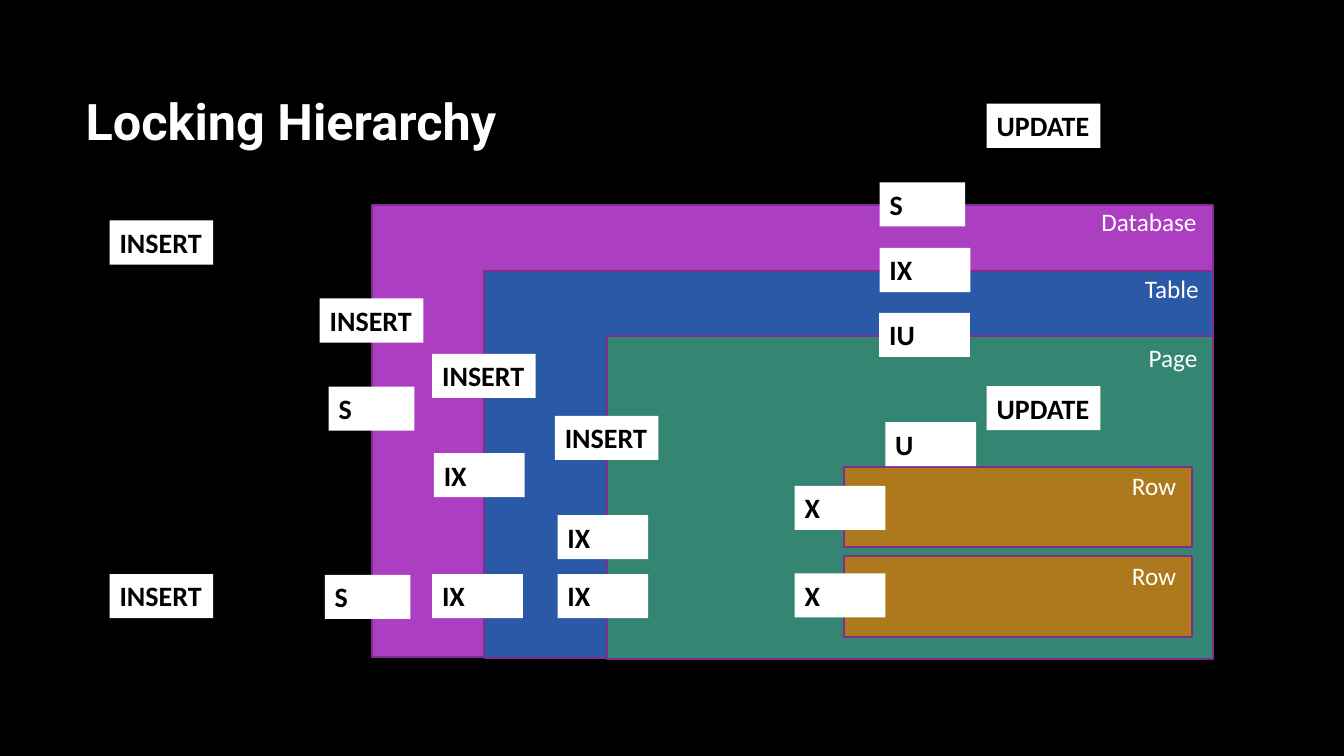
from pptx import Presentation
from pptx.dml.color import RGBColor
from pptx.enum.shapes import MSO_SHAPE
from pptx.enum.text import MSO_ANCHOR, MSO_AUTO_SIZE, PP_ALIGN
from pptx.util import Pt

COLORS = {
    "background": "000000",
    "white": "FFFFFF",
    "black": "000000",
    "outline": "7F2E8F",
    "database": "AC3EC1",
    "table": "2A59A8",
    "page": "348672",
    "row": "AE781D",
}
TITLE_FONT = {"name": "Roboto", "size": Pt(36), "bold": True}
LABEL_FONT = {"name": "Calibri", "size": Pt(18), "bold": False}
TAG_FONT = {"name": "Calibri", "size": Pt(20), "bold": True}


def write_text(shape, text, font_format, color):
    frame = shape.text_frame
    frame.word_wrap = True
    frame.text = text
    paragraph = frame.paragraphs[0]
    paragraph.alignment = PP_ALIGN.LEFT
    for name, value in font_format.items():
        setattr(paragraph.font, name, value)
    paragraph.font.color.rgb = RGBColor.from_string(COLORS[color])


def add_box(left, top, width, height, color):
    shape = slide.shapes.add_shape(
        MSO_SHAPE.RECTANGLE, Pt(left), Pt(top), Pt(width), Pt(height))
    shape.shadow.inherit = False
    shape.fill.solid()
    shape.fill.fore_color.rgb = RGBColor.from_string(COLORS[color])
    return shape


presentation = Presentation()
presentation.slide_width, presentation.slide_height = Pt(960), Pt(540)
slide = presentation.slides.add_slide(presentation.slide_layouts[5])
slide.background.fill.solid()
slide.background.fill.fore_color.rgb = RGBColor.from_string(COLORS["background"])

# Title
title = slide.shapes.title
title.left, title.top, title.width, title.height = Pt(54), Pt(48.2), Pt(797.8), Pt(75.6)
write_text(title, "Locking Hierarchy", TITLE_FONT, "white")
title.text_frame.vertical_anchor = MSO_ANCHOR.MIDDLE

# Nested levels: name, left, top, right, bottom, label left, label top
levels = [
    ("Database", 265.6, 146.2, 866.2, 469.4, 779.6, 144),
    ("Table", 345.6, 193.5, 866.2, 470.2, 810.7, 191.5),
    ("Page", 433.4, 239.8, 866.2, 470.9, 813.4, 241),
    ("Row", 602.6, 333.4, 851.6, 391, 801.4, 332.6),
    ("Row", 602.6, 397.4, 851.6, 455, 801.4, 396.7),
]
for name, left, top, right, bottom, label_left, label_top in levels:
    level = add_box(left, top, right - left, bottom - top, name.lower())
    level.line.color.rgb = RGBColor.from_string(COLORS["outline"])
    level.line.width = Pt(1.5)
    label = slide.shapes.add_textbox(
        Pt(label_left), Pt(label_top), Pt(right - label_left + 8), Pt(29))
    write_text(label, name, LABEL_FONT, "white")
    label.text_frame.margin_right = 0

# Statement and lock tags
tag_widths = {"INSERT": 74, "UPDATE": 81.2, "S": 61.2}
lock_width = 64.8
tags = [
    # First insert
    ("INSERT", 78.3, 157.5), ("INSERT", 228.4, 213.2),
    ("INSERT", 308.7, 252.7), ("INSERT", 396.3, 297),
    ("S", 234.8, 276.1), ("IX", 309.9, 323.6),
    ("IX", 398.3, 368), ("X", 567.6, 347),
    # Second insert
    ("INSERT", 78.3, 410), ("S", 232, 410.6), ("IX", 308.7, 410),
    ("IX", 398.3, 410), ("X", 567.6, 409.6),
    # Update
    ("UPDATE", 704.8, 74.1), ("S", 628.3, 130.2), ("IX", 628.3, 177.1),
    ("IU", 628, 223.5), ("U", 632.4, 301.5), ("UPDATE", 704.8, 275.8),
]
for text, left, top in tags:
    tag = add_box(left, top, tag_widths.get(text, lock_width), 31.5, "white")
    tag.line.fill.background()
    write_text(tag, text, TAG_FONT, "black")
    tag.text_frame.margin_right = 0
    tag.text_frame.vertical_anchor = MSO_ANCHOR.TOP
    tag.text_frame.auto_size = MSO_AUTO_SIZE.SHAPE_TO_FIT_TEXT

presentation.save("out.pptx")
